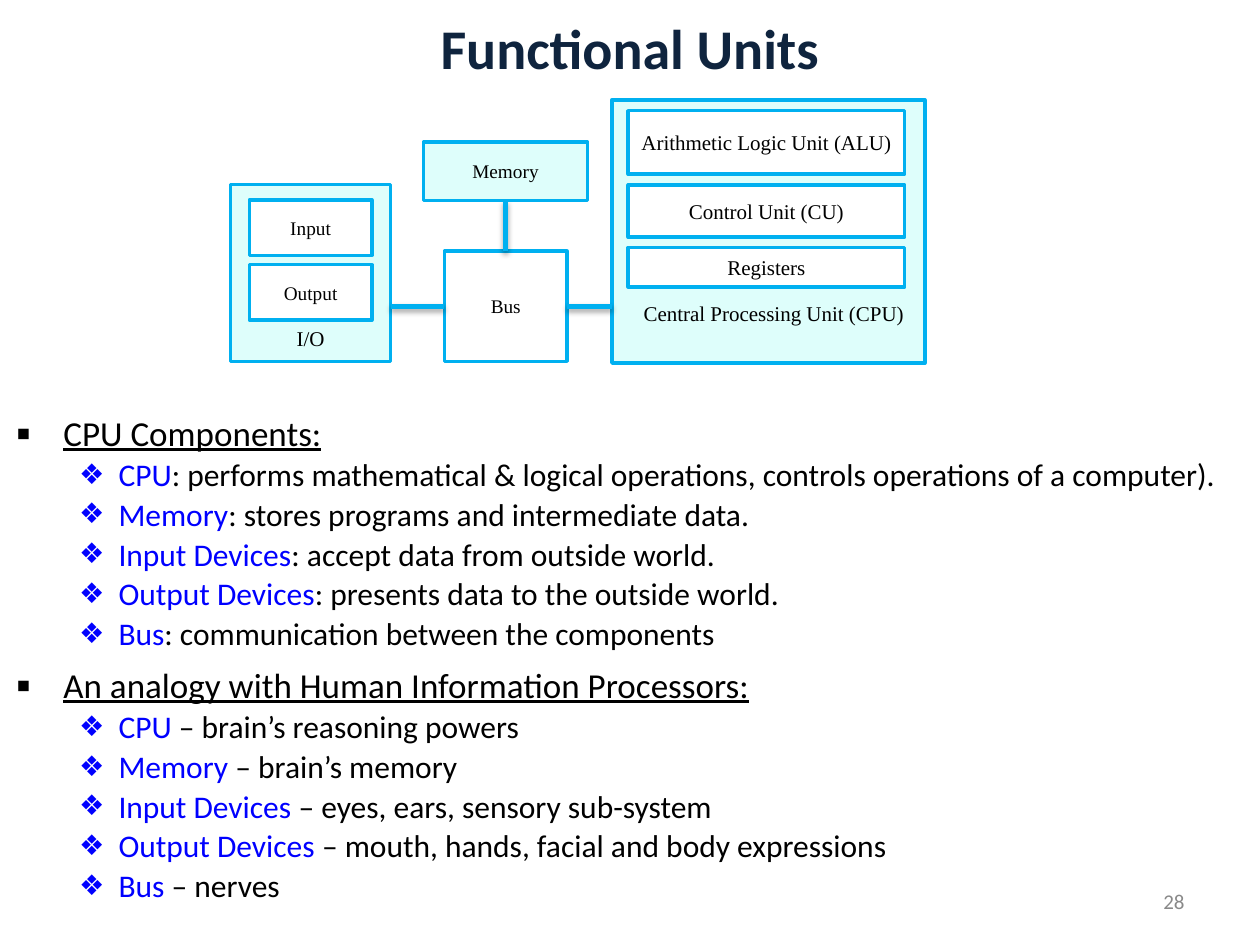
from lxml.etree import SubElement
from pptx import Presentation
from pptx.dml.color import RGBColor
from pptx.enum.shapes import MSO_CONNECTOR, MSO_SHAPE
from pptx.enum.text import MSO_ANCHOR, MSO_AUTO_SIZE, PP_ALIGN
from pptx.oxml.ns import qn
from pptx.util import Pt

NAVY = RGBColor(0x0F, 0x24, 0x3E)
BLACK = RGBColor(0x00, 0x00, 0x00)
WHITE = RGBColor(0xFF, 0xFF, 0xFF)
GREY = RGBColor(0x89, 0x89, 0x89)
BLUE = RGBColor(0x00, 0x00, 0xFF)
CYAN = RGBColor(0x00, 0xB0, 0xF0)
PALE_CYAN = RGBColor(0xDE, 0xFE, 0xFB)

BODY_FONT = "Calibri"
DIAGRAM_FONT = "Times New Roman"

# Each section: heading, then (term, explanation) pairs
SECTIONS = [
    ("CPU Components:", [
        ("CPU", ": performs mathematical & logical operations, controls operations of a computer)."),
        ("Memory", ": stores programs and intermediate data."),
        ("Input Devices", ": accept data from outside world."),
        ("Output Devices", ": presents data to the outside world."),
        ("Bus", ": communication between the components"),
    ]),
    ("An analogy with Human Information Processors:", [
        ("CPU", " – brain’s reasoning powers"),
        ("Memory", " – brain’s memory"),
        ("Input Devices ", "– eyes, ears, sensory sub-system"),
        ("Output Devices ", "– mouth, hands, facial and body expressions"),
        ("Bus ", "– nerves"),
    ]),
]


def place(shape, left, top, width, height):
    shape.left, shape.top = Pt(left), Pt(top)
    shape.width, shape.height = Pt(width), Pt(height)


def add_run(paragraph, text, size, color, font=BODY_FONT):
    run = paragraph.add_run()
    run.text = text
    run.font.size = Pt(size)
    run.font.name = font
    run.font.color.rgb = color
    return run


def add_bullet(paragraph, character, color, percent, margin, indent):
    properties = paragraph._p.get_or_add_pPr()
    properties.set("marL", str(Pt(margin)))
    properties.set("indent", str(Pt(-indent)))
    bullet_color = SubElement(properties, qn("a:buClr"))
    SubElement(bullet_color, qn("a:srgbClr"), val=str(color))
    SubElement(properties, qn("a:buSzPct"), val=str(percent * 1000))
    SubElement(properties, qn("a:buFont"), typeface="Arial")
    SubElement(properties, qn("a:buChar"), char=character)


def add_title(slide, text):
    title = slide.shapes.title
    place(title, 0, 0, 720, 54)
    frame = title.text_frame
    frame.vertical_anchor = MSO_ANCHOR.MIDDLE
    paragraph = frame.paragraphs[0]
    paragraph.alignment = PP_ALIGN.CENTER
    add_run(paragraph, text, 32, NAVY).font.bold = True


def add_sections(slide):
    body = slide.placeholders[1]
    place(body, 2, 234, 703, 222)
    frame = body.text_frame
    frame.auto_size = MSO_AUTO_SIZE.NONE
    frame.vertical_anchor = MSO_ANCHOR.TOP

    def next_paragraph(is_first, level, space_before):
        paragraph = frame.paragraphs[0] if is_first else frame.add_paragraph()
        paragraph.level = level
        paragraph.line_spacing = 0.9
        paragraph.space_before = Pt(0 if is_first else space_before)
        return paragraph

    for number, (heading, items) in enumerate(SECTIONS):
        paragraph = next_paragraph(number == 0, 0, 9)
        add_bullet(paragraph, "▪", BLACK, 120, 27, 27)
        add_run(paragraph, heading, 20, BLACK).font.underline = True
        for term, explanation in items:
            paragraph = next_paragraph(False, 1, 3.25)
            add_bullet(paragraph, "❖", BLUE, 90, 58.5, 22.5)
            add_run(paragraph, term, 18, BLUE)
            add_run(paragraph, explanation, 18, BLACK)


def add_box(slide, left, top, width, height, fill, text="", size=12):
    box = slide.shapes.add_shape(
        MSO_SHAPE.RECTANGLE, Pt(left), Pt(top), Pt(width), Pt(height))
    box.shadow.inherit = False
    box.fill.solid()
    box.fill.fore_color.rgb = fill
    box.line.color.rgb = CYAN
    box.line.width = Pt(2)
    if text:
        frame = box.text_frame
        frame.margin_left = frame.margin_right = 0
        frame.vertical_anchor = MSO_ANCHOR.MIDDLE
        frame.paragraphs[0].alignment = PP_ALIGN.CENTER
        add_run(frame.paragraphs[0], text, size, BLACK, DIAGRAM_FONT)


def add_label(slide, left, top, width, height, text, color=BLACK,
              font=DIAGRAM_FONT, alignment=PP_ALIGN.CENTER, anchor=MSO_ANCHOR.TOP):
    label = slide.shapes.add_textbox(Pt(left), Pt(top), Pt(width), Pt(height))
    frame = label.text_frame
    frame.word_wrap = True
    frame.vertical_anchor = anchor
    frame.paragraphs[0].alignment = alignment
    add_run(frame.paragraphs[0], text, 12, color, font)


def add_link(slide, start_x, start_y, end_x, end_y):
    link = slide.shapes.add_connector(
        MSO_CONNECTOR.STRAIGHT, Pt(start_x), Pt(start_y), Pt(end_x), Pt(end_y))
    link.line.color.rgb = CYAN
    link.line.width = Pt(3)
    # Soft shadow straight below the line
    effects = SubElement(link._element.spPr, qn("a:effectLst"))
    shadow = SubElement(effects, qn("a:outerShdw"), blurRad=str(Pt(3.1)),
                        dist=str(Pt(1.8)), dir="5400000", rotWithShape="0")
    shadow_color = SubElement(shadow, qn("a:srgbClr"), val=str(BLACK))
    SubElement(shadow_color, qn("a:alpha"), val="35000")


def add_diagram(slide):
    # Input/output and CPU containers
    add_box(slide, 131.75, 105.5, 91.5, 101, PALE_CYAN)
    add_box(slide, 349.75, 57, 178.75, 150.5, PALE_CYAN)

    # CPU parts
    for top, height, text in [
        (63.25, 36.25, "Arithmetic Logic Unit (ALU)"),
        (105.75, 29.75, "Control Unit (CU)"),
        (141.5, 22.5, "Registers"),
    ]:
        add_box(slide, 359, top, 158, height, WHITE, text)
    add_label(slide, 357, 168, 170.5, 21.5, "Central Processing Unit (CPU)")

    # Bus and input/output parts
    add_box(slide, 254, 143.5, 70, 63, WHITE, "Bus", 11)
    for top, text in [(114.25, "Input"), (151.25, "Output")]:
        add_box(slide, 142.5, top, 70, 31.75, WHITE, text, 11)
    add_label(slide, 131.75, 182.25, 91.5, 21.5, "I/O")

    # Links from the bus to each unit
    add_link(slide, 223.25, 175, 254, 175)
    add_link(slide, 324, 175, 349.75, 175)
    add_link(slide, 289, 143.5, 289, 114.5)

    add_box(slide, 242, 81.25, 93.75, 33.25, PALE_CYAN, "Memory", 11)


def main():
    presentation = Presentation()
    presentation.slide_width, presentation.slide_height = Pt(720), Pt(540)
    slide = presentation.slides.add_slide(presentation.slide_layouts[1])
    add_title(slide, "Functional Units")
    add_sections(slide)
    add_diagram(slide)
    # Slide number
    add_label(slide, 516, 500.5, 168, 28.75, "28", GREY, BODY_FONT,
              PP_ALIGN.RIGHT, MSO_ANCHOR.MIDDLE)
    presentation.save("out.pptx")


if __name__ == "__main__":
    main()
